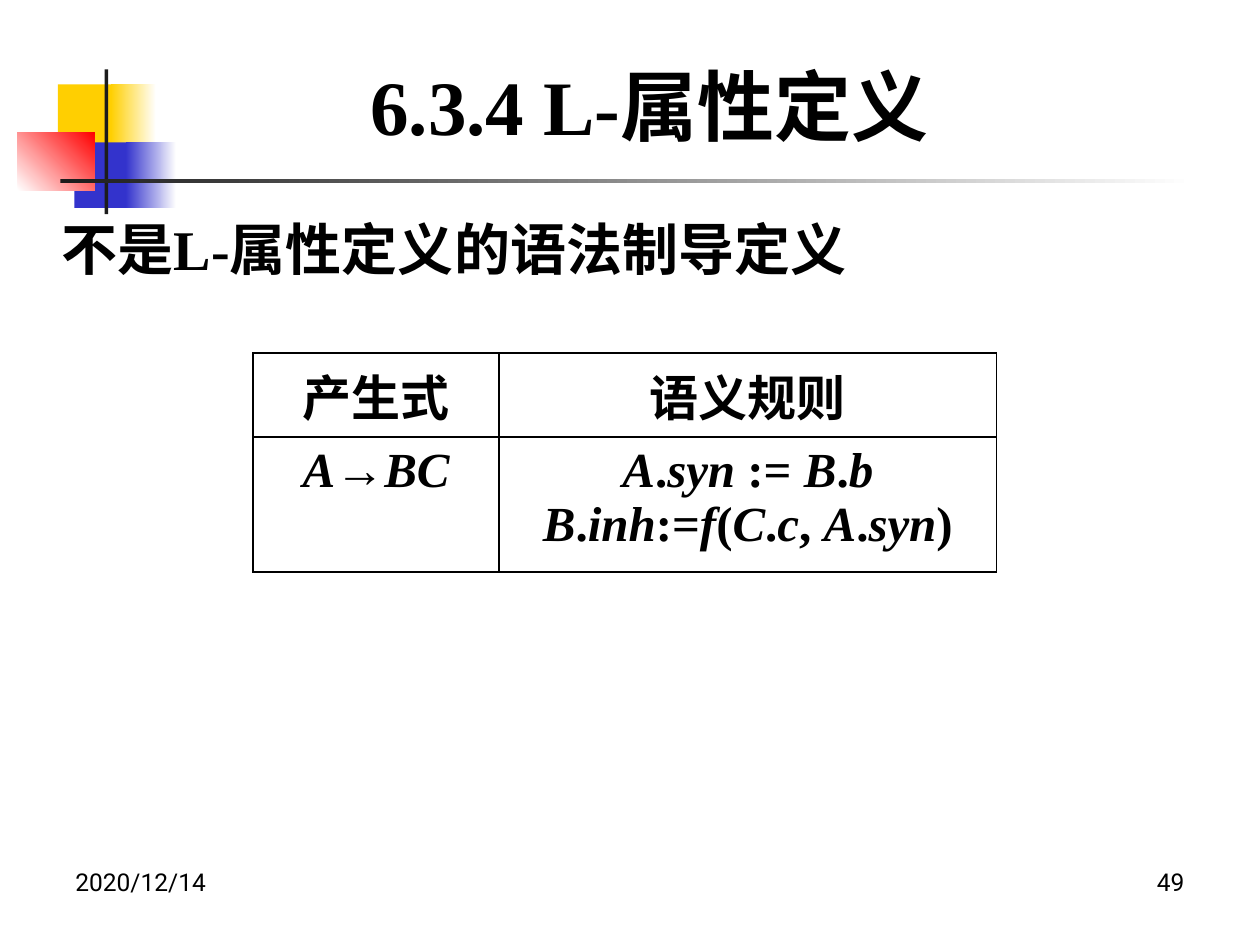
import itertools

import pptx
import pptx.dml.color
import pptx.enum.shapes
import pptx.enum.text
import pptx.oxml
import pptx.oxml.ns
import pptx.util

RGBColor = pptx.dml.color.RGBColor
Inches = pptx.util.Inches
ALIGN = pptx.enum.text.PP_ALIGN
ANCHOR = pptx.enum.text.MSO_ANCHOR

BLACK = RGBColor(0x00, 0x00, 0x00)
WHITE = RGBColor(0xFF, 0xFF, 0xFF)
YELLOW = RGBColor(0xFF, 0xCF, 0x01)
BLUE = RGBColor(0x33, 0x33, 0xCC)
RED = RGBColor(0xFF, 0x00, 0x00)
CHARCOAL = RGBColor(0x1C, 0x1C, 0x1C)
SERIF = "Times New Roman"


def set_font(paragraph, size, name=SERIF, bold=True):
    for run in paragraph.runs:
        run.font.size = pptx.util.Pt(size)
        run.font.name = name
        run.font.bold = bold
        run.font.color.rgb = BLACK


def place(shape, left, top, width, height):
    shape.left, shape.top = Inches(left), Inches(top)
    shape.width, shape.height = Inches(width), Inches(height)


deck = pptx.Presentation()
deck.slide_width, deck.slide_height = Inches(10), Inches(7.5)
slide = deck.slides.add_slide(deck.slide_layouts[1])

# Corner ornament and rule: left, top, width, height, colours, angle
ornament = [
    (0.46, 0.67, 0.48, 0.52, [YELLOW], 0),
    (0.88, 0.67, 0.36, 0.52, [YELLOW, WHITE], 0),
    (0.59, 1.13, 0.46, 0.52, [BLUE], 0),
    (1.00, 1.13, 0.40, 0.52, [BLUE, WHITE], 0),
    (0.14, 1.05, 0.61, 0.46, [WHITE, RED], 45),
    (0.83, 0.55, 0.03, 1.15, [CHARCOAL], 0),
    (0.48, 1.42, 9.00, 0.03, [CHARCOAL, WHITE], 0),
]
for left, top, width, height, colours, angle in ornament:
    block = slide.shapes.add_shape(
        pptx.enum.shapes.MSO_SHAPE.RECTANGLE,
        Inches(left), Inches(top), Inches(width), Inches(height))
    block.shadow.inherit = False
    block.line.fill.background()
    if len(colours) == 1:
        block.fill.solid()
        block.fill.fore_color.rgb = colours[0]
    else:
        block.fill.gradient()
        block.fill.gradient_angle = angle
        for stop, colour in zip(block.fill.gradient_stops, colours):
            stop.color.rgb = colour

# Title and lead sentence
heading, lead = slide.placeholders
place(heading, 2.84, 0.36, 5.31, 0.94)
place(lead, 0.39, 1.65, 9.41, 0.63)
for holder, wording, size, anchor in [
        (heading, "6.3.4 L-属性定义", 44, ANCHOR.MIDDLE),
        (lead, "不是L-属性定义的语法制导定义", 32, ANCHOR.TOP)]:
    frame = holder.text_frame
    frame.text = wording
    frame.auto_size = pptx.enum.text.MSO_AUTO_SIZE.NONE
    frame.vertical_anchor = anchor
    line = frame.paragraphs[0]
    properties = line._p.get_or_add_pPr()
    properties.set("marL", "0")
    properties.set("indent", "0")
    properties.append(pptx.oxml.parse_xml(
        f"<a:buNone {pptx.oxml.ns.nsdecls('a')}/>"))
    line.alignment = ALIGN.LEFT
    line.space_before = pptx.util.Pt(0)
    set_font(line, size)

# Table of productions and semantic rules
rows = [
    ["产生式", "语义规则"],
    ["A→BC", "A.syn := B.b\nB.inh:=f(C.c, A.syn)"],
]
grid = slide.shapes.add_table(
    2, 2, Inches(2.01), Inches(2.8), Inches(5.9), Inches(1.74)).table
grid.first_row = grid.horz_banding = False
for column, width in zip(grid.columns, (1.95, 3.95)):
    column.width = Inches(width)
for row, height in zip(grid.rows, (0.67, 1.07)):
    row.height = Inches(height)

for r, c in itertools.product(range(2), range(2)):
    cell = grid.cell(r, c)
    cell.text_frame.text = rows[r][c]
    cell.vertical_anchor = ANCHOR.TOP if r else ANCHOR.MIDDLE
    for line in cell.text_frame.paragraphs:
        line.alignment = ALIGN.CENTER
        if r:
            # Grammar symbols and attributes are italic, operators upright
            formula = line.text
            line.clear()
            for is_name, letters in itertools.groupby(formula, str.isalpha):
                run = line.add_run()
                run.text = "".join(letters)
                run.font.italic = is_name
        set_font(line, 28)
    for side in "LRTB":
        cell._tc.get_or_add_tcPr().append(pptx.oxml.parse_xml(
            f"<a:ln{side} {pptx.oxml.ns.nsdecls('a')} w='12700'><a:solidFill>"
            f"<a:srgbClr val='{BLACK}'/></a:solidFill></a:ln{side}>"))
    cell.fill.background()

# Footer: date and page number
for left, wording, alignment in [(0.5, "2020/12/14", ALIGN.LEFT),
                                 (7.17, "49", ALIGN.RIGHT)]:
    footer = slide.shapes.add_textbox(
        Inches(left), Inches(6.83), Inches(2.33), Inches(0.52)).text_frame
    footer.word_wrap = True
    footer.text = wording
    footer.paragraphs[0].alignment = alignment
    set_font(footer.paragraphs[0], 14, "Roboto", False)

deck.save("out.pptx")
